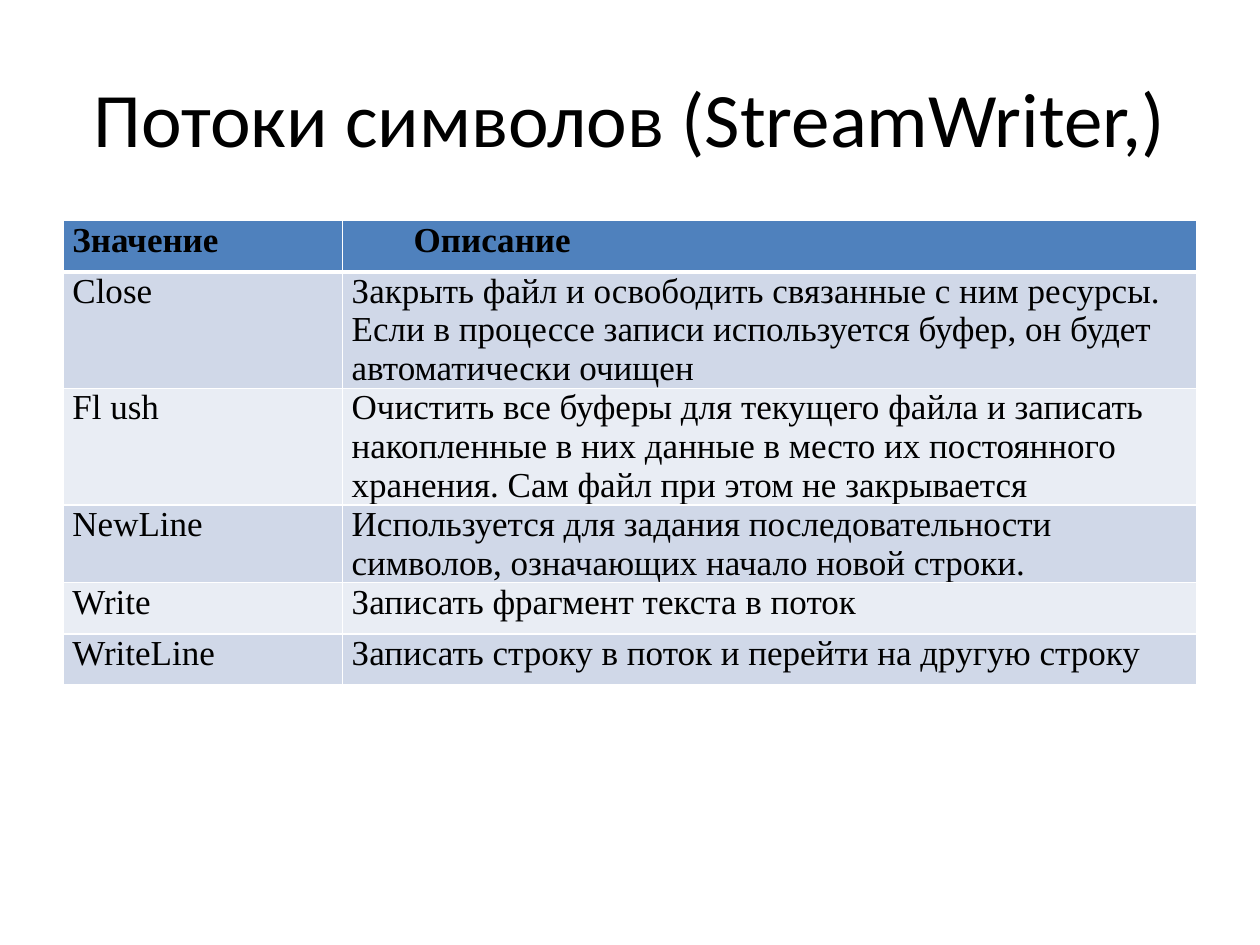
from lxml.etree import SubElement
from pptx import Presentation
from pptx.dml.color import RGBColor
from pptx.enum.text import MSO_ANCHOR, PP_ALIGN
from pptx.oxml.ns import qn
from pptx.util import Cm, Pt

ROWS = [
    ("Значение", "Описание"),
    ("Close", "Закрыть файл и освободить связанные с ним ресурсы. Если в процессе "
              "записи используется буфер, он будет автоматически очищен"),
    ("Fl ush", "Очистить все буферы для текущего файла и записать накопленные в них "
               "данные в место их постоянного хранения. Сам файл при этом не закрывается"),
    ("NewLine", "Используется для задания последовательности символов, "
                "означающих начало новой строки."),
    ("Write", "Записать фрагмент текста в поток"),
    ("WriteLinе", "Записать строку в поток и перейти на другую строку"),
]


def color(code):
    """Turn a hex string into a colour."""
    return RGBColor.from_string(code)


def style(par, name, size, bold=False):
    """Set the font of a paragraph."""
    font = par.font
    font.name, font.size, font.bold = name, Pt(size), bold
    font.color.rgb = color("000000")


def border(cell, code, widths):
    """Draw the left, right, top and bottom borders of a cell."""
    props = cell._tc.get_or_add_tcPr()
    for side, width in zip("LRTB", widths):
        line = SubElement(props, qn(f"a:ln{side}"), w=str(Pt(width)))
        fill = SubElement(line, qn("a:solidFill"))
        SubElement(fill, qn("a:srgbClr"), val=code)


def add_title(slide, box, text):
    """Place and format the slide title."""
    title = slide.shapes.title
    title.left, title.top, title.width, title.height = box
    frame = title.text_frame
    frame.text = text
    frame.vertical_anchor = MSO_ANCHOR.MIDDLE
    par = frame.paragraphs[0]
    par.alignment = PP_ALIGN.CENTER
    style(par, "Calibri", 44)


def fill_cell(cell, text, row, col):
    """Write and format one cell of the table."""
    head = row == 0
    cell.margin_left = cell.margin_right = Cm(0.19)
    cell.margin_top = cell.margin_bottom = 0
    border(cell, "FFFFFF", (1, 1, 3 if row == 1 else 1, 3 if head else 1))
    cell.fill.solid()
    shade = "4F81BD" if head else ("E9EDF4", "D0D8E8")[row % 2]
    cell.fill.fore_color.rgb = color(shade)
    cell.text = text
    par = cell.text_frame.paragraphs[0]
    if head and col == 1:
        par._p.get_or_add_pPr().set("indent", str(Cm(1.25)))
    style(par, "Times New Roman", 20, head)


def add_grid(slide, box, rows):
    """Build the table of methods."""
    left, top, width, height = box
    table = slide.shapes.add_table(len(rows), 2, left, top, width, height).table
    first = Cm(5.63)
    table.columns[0].width = first
    table.columns[1].width = width - first
    for row, texts in enumerate(rows):
        for col, text in enumerate(texts):
            fill_cell(table.cell(row, col), text, row, col)


def main():
    """Build and save the slide."""
    deck = Presentation()
    deck.slide_width, deck.slide_height = Cm(25.4), Cm(19.05)
    slide = deck.slides.add_slide(deck.slide_layouts[5])
    left, width = Cm(1.27), Cm(22.86)
    add_title(slide, (left, Cm(0.76), width, Cm(3.18)), "Потоки символов (StreamWriter,)")
    add_grid(slide, (left, Cm(4.45), width, Cm(1.03) * len(ROWS)), ROWS)
    deck.save("out.pptx")


if __name__ == "__main__":
    main()
